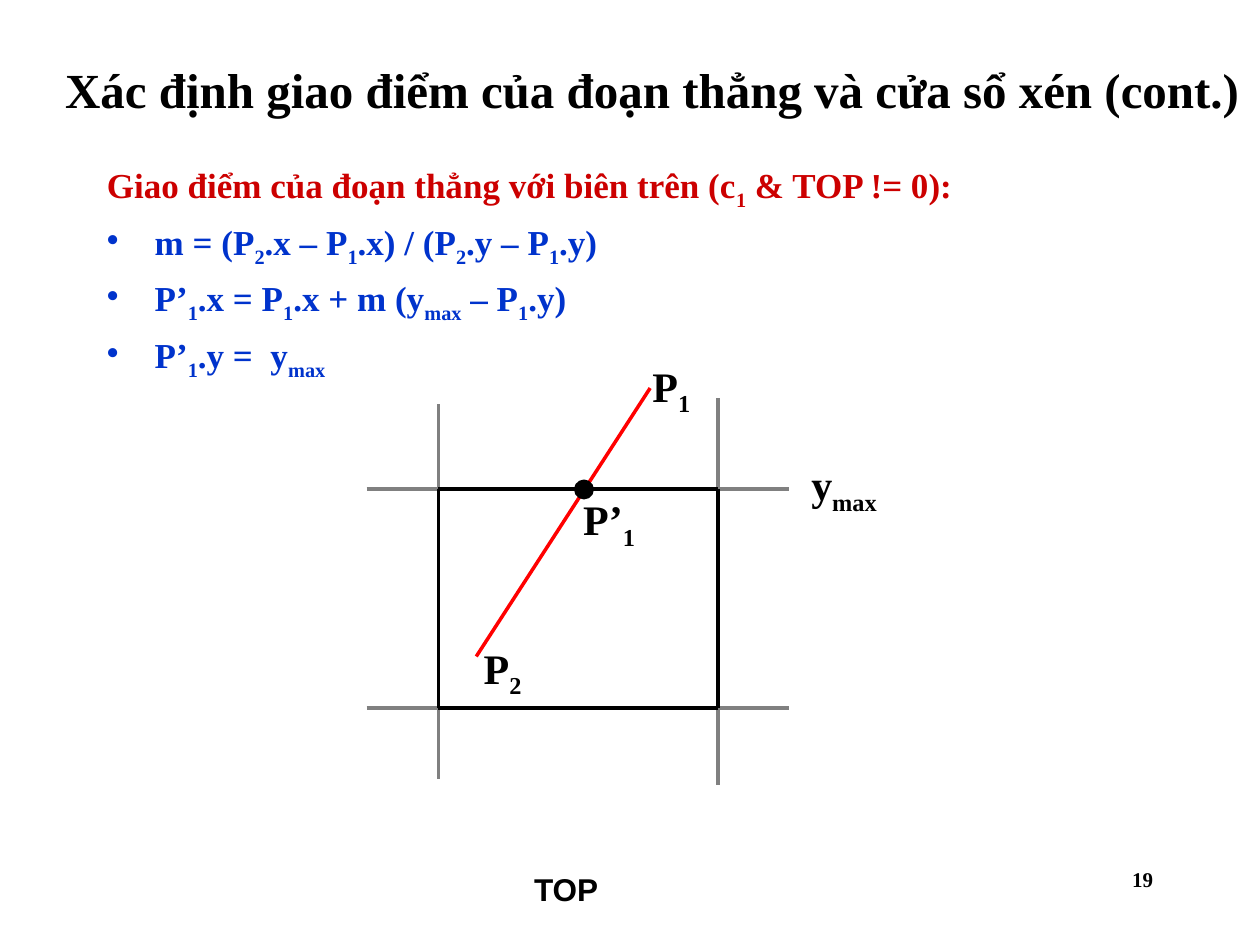
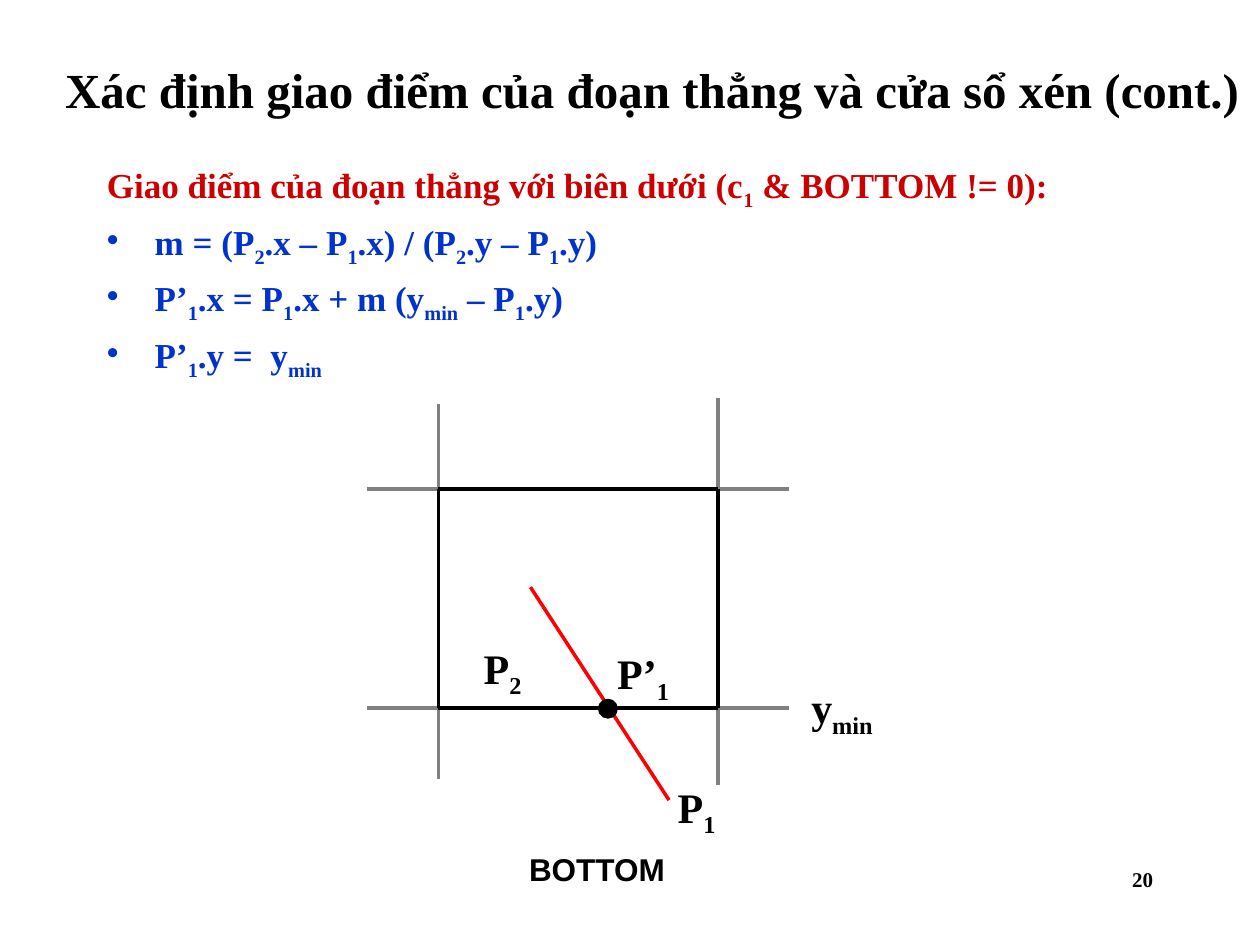
import pptx
import pptx.dml.color
import pptx.enum.shapes
import pptx.enum.text
import pptx.oxml.ns
import pptx.util
from lxml import etree
from pptx.util import Inches

# Content: text between underscores is subscript
TITLE = "Xác định giao điểm của đoạn thẳng và cửa sổ xén (cont.)"
CASES = [
    {
        "number": "19", "side": "biên trên", "code": "TOP", "bound": "max",
        "segment": ((3.78, 5.21), (5.16, 3.08)),
        "crossing": (4.57, 3.82),
        "code_box": (4.14, 6.86, 0.71, 0.4),
        "labels": {"P_2_": (3.74, 5.05), "P’_1_": (4.53, 3.87),
                   "P_1_": (5.08, 2.81), "y_max_": (6.34, 3.59)},
    },
    {
        "number": "20", "side": "biên dưới", "code": "BOTTOM", "bound": "min",
        "segment": ((4.21, 4.66), (5.31, 6.35)),
        "crossing": (4.76, 5.56),
        "code_box": (4.1, 6.7, 1.28, 0.4),
        "labels": {"P_2_": (3.74, 5.05), "P’_1_": (4.8, 5.09),
                   "P_1_": (5.28, 6.15), "y_min_": (6.34, 5.36)},
    },
]
HEADING = "Giao điểm của đoạn thẳng với {side} (c_1_ & {code} != 0):"
FORMULAS = [
    "m = (P_2_.x – P_1_.x) / (P_2_.y – P_1_.y)",
    "P’_1_.x = P_1_.x + m (y_{bound}_ – P_1_.y)",
    "P’_1_.y =  y_{bound}_",
]

# Shared style
BLACK = pptx.dml.color.RGBColor(0x00, 0x00, 0x00)
GREY = pptx.dml.color.RGBColor(0x80, 0x80, 0x80)
RED = pptx.dml.color.RGBColor(0xFF, 0x00, 0x00)
HEADING_RED = pptx.dml.color.RGBColor(0xCC, 0x00, 0x00)
FORMULA_BLUE = pptx.dml.color.RGBColor(0x00, 0x33, 0xCC)
SERIF, SANS = "Times New Roman", "Arial"
ALIGN = pptx.enum.text.PP_ALIGN
LINE_WIDTH = pptx.util.Pt(2)

# Clipping window and the reach of its extended edges
LEFT, RIGHT, TOP, BOTTOM = 3.48, 5.7, 3.88, 5.62
EXTENSIONS = [
    ((LEFT, 3.21), (LEFT, 6.18)), ((RIGHT, 3.16), (RIGHT, 6.23)),
    ((2.91, TOP), (6.26, TOP)), ((2.91, BOTTOM), (6.26, BOTTOM)),
]
CORNERS = [(LEFT, TOP), (RIGHT, TOP), (RIGHT, BOTTOM), (LEFT, BOTTOM)]
EDGES = list(zip(CORNERS, CORNERS[1:] + CORNERS[:1]))
DOT_SIZE = 0.13
LABEL_SIZE = (0.79, 0.56)


def write(paragraph, marked, size, color=BLACK, font=SERIF, before=0, align=ALIGN.LEFT):
    paragraph.alignment = align
    paragraph.space_before = pptx.util.Pt(before)
    for index, part in enumerate(marked.split("_")):
        if not part:
            continue
        run = paragraph.add_run()
        run.text = part
        run.font.size = pptx.util.Pt(size)
        run.font.name = font
        run.font.bold = True
        run.font.color.rgb = color
        if index % 2:
            run.font._element.set("baseline", "-25000")


def add_box(slide, box, wrap=True):
    frame = slide.shapes.add_textbox(*map(Inches, box)).text_frame
    frame.word_wrap = wrap
    return frame


def add_line(shapes, start, end, color):
    line = shapes.add_connector(pptx.enum.shapes.MSO_CONNECTOR.STRAIGHT,
                                *map(Inches, start + end))
    line.line.color.rgb = color
    line.line.width = LINE_WIDTH
    etree.SubElement(line._element.spPr, pptx.oxml.ns.qn("a:effectLst"))


def add_frame(slide, case):
    """Title and slide number."""
    title = add_box(slide, (0.35, 0.33, 9.65, 0.75))
    title.vertical_anchor = pptx.enum.text.MSO_ANCHOR.MIDDLE
    write(title.paragraphs[0], TITLE, 28, align=ALIGN.CENTER)
    number = add_box(slide, (7.17, 6.83, 2.08, 0.5))
    write(number.paragraphs[0], case["number"], 12, align=ALIGN.RIGHT)


def add_formulas(slide, case):
    body = add_box(slide, (0.75, 1.25, 8.5, 1.99))
    for index, line in enumerate([HEADING] + FORMULAS):
        paragraph = body.add_paragraph() if index else body.paragraphs[0]
        write(paragraph, line.format(**case), 20,
              FORMULA_BLUE if index else HEADING_RED, before=5)
        properties = paragraph._p.get_or_add_pPr()
        properties.set("marL", str(Inches(0.38)))
        properties.set("indent", str(-Inches(0.38)))
        if index:
            bullet = etree.SubElement(properties, pptx.oxml.ns.qn("a:buChar"))
            bullet.set("char", "•")


def add_diagram(slide, case):
    # Window with extended edges
    window = slide.shapes.add_group_shape().shapes
    for color, lines in ((GREY, EXTENSIONS), (BLACK, EDGES)):
        for start, end in lines:
            add_line(window, start, end, color)

    # Segment and its crossing point
    add_line(slide.shapes, *case["segment"], RED)
    dot = slide.shapes.add_shape(pptx.enum.shapes.MSO_SHAPE.OVAL,
                                 *map(Inches, case["crossing"] + (DOT_SIZE, DOT_SIZE)))
    dot.shadow.inherit = False
    dot.fill.solid()
    dot.fill.fore_color.rgb = BLACK
    dot.line.color.rgb = BLACK
    dot.line.width = LINE_WIDTH

    # Point labels and region code
    for label, position in case["labels"].items():
        write(add_box(slide, position + LABEL_SIZE).paragraphs[0], label, 24, before=15)
    code = add_box(slide, case["code_box"], wrap=False)
    write(code.paragraphs[0], case["code"], 18, font=SANS)


def main():
    deck = pptx.Presentation()
    deck.slide_width, deck.slide_height = Inches(10), Inches(7.5)
    for case in CASES:
        slide = deck.slides.add_slide(deck.slide_layouts[6])
        add_frame(slide, case)
        add_formulas(slide, case)
        add_diagram(slide, case)
    deck.save("out.pptx")


if __name__ == "__main__":
    main()
